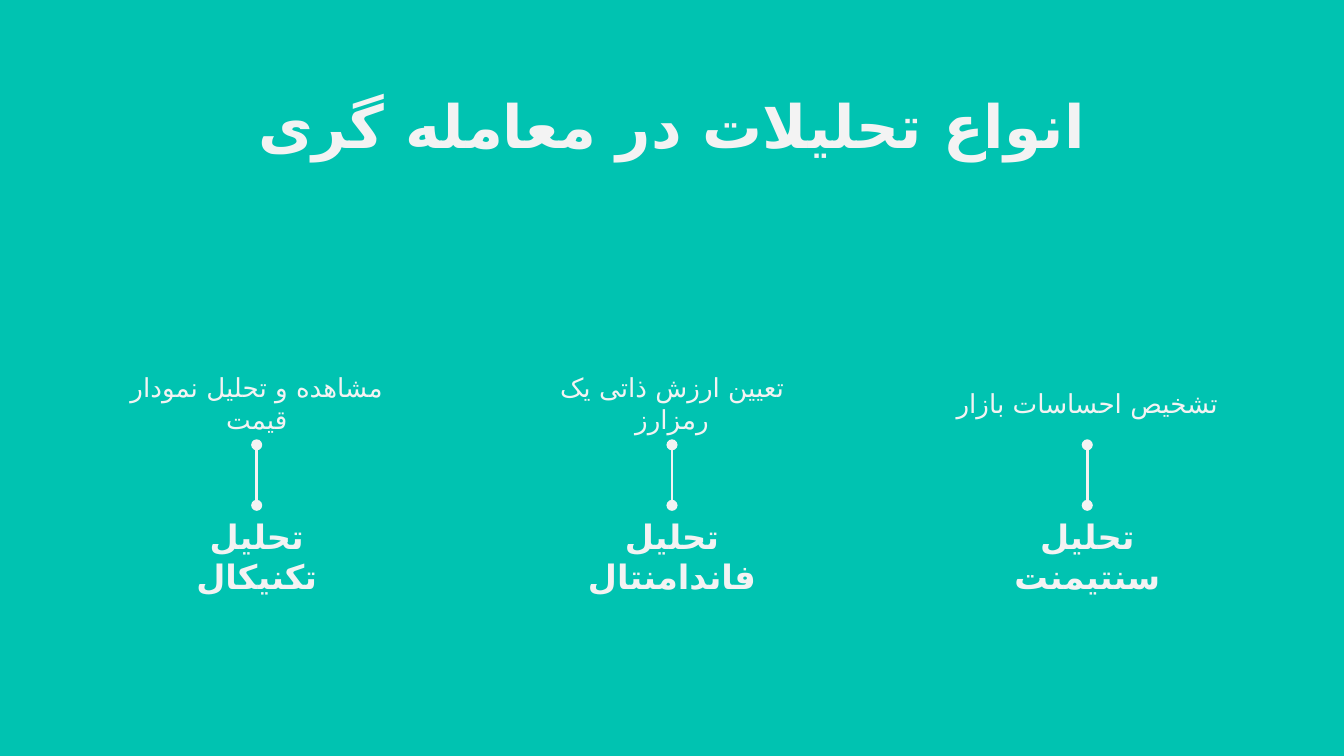
from lxml.etree import SubElement
from pptx import Presentation
from pptx.dml.color import RGBColor
from pptx.enum.shapes import MSO_CONNECTOR as Connector
from pptx.enum.text import MSO_ANCHOR as Anchor, PP_ALIGN as Align
from pptx.oxml.ns import qn
from pptx.util import Inches, Pt

TEAL = RGBColor(0x00, 0xC3, 0xB1)
OFF_WHITE = RGBColor(0xF3, 0xF3, 0xF3)

# Content: analysis name and its description, left to right
HEADING = "انواع تحلیلات در معامله گری"
ANALYSES = [
    ("تحلیل تکنیکال", "مشاهده و تحلیل نمودار قیمت"),
    ("تحلیل فاندامنتال", "تعیین ارزش ذاتی یک رمزارز"),
    ("تحلیل سنتیمنت", "تشخیص احساسات بازار"),
]

HEADING_FONT = {"name": "Roboto", "size": Pt(32), "bold": True}
NAME_FONT = {"name": "Roboto", "size": Pt(18), "bold": True}
DESCRIPTION_FONT = {"name": "Lato", "size": Pt(14), "bold": False}
PERSIAN_FONT = "DejaVu Sans"

# Column centres and the ends of the connecting lines, in inches
FIRST_CENTRE, PITCH = 1.91, 3.09
LINE_TOP, LINE_BOTTOM = 3.31, 3.76

# A 16:9 page
prs = Presentation()
prs.slide_width, prs.slide_height = Inches(10), Inches(10 * 9 / 16)
slide = prs.slides.add_slide(prs.slide_layouts[6])
slide.background.fill.solid()
slide.background.fill.fore_color.rgb = TEAL


def add_text(text, centre, top, width, height, font, margin=0.1,
             anchor=Anchor.MIDDLE):
    box = slide.shapes.add_textbox(Inches(centre - width / 2), Inches(top),
                                   Inches(width), Inches(height))
    frame = box.text_frame
    frame.word_wrap = True
    frame.vertical_anchor = anchor
    for side in ("left", "top", "right", "bottom"):
        setattr(frame, f"margin_{side}", Inches(margin))
    paragraph = frame.paragraphs[0]
    paragraph.alignment = Align.CENTER
    run = paragraph.add_run()
    run.text = text
    for key, value in font.items():
        setattr(run.font, key, value)
    run.font.color.rgb = OFF_WHITE
    # Persian letters take the complex-script font
    SubElement(run._r.get_or_add_rPr(), qn("a:cs"), typeface=PERSIAN_FONT)
    return paragraph


def add_dotted_end_line(x):
    line = slide.shapes.add_connector(Connector.STRAIGHT, Inches(x), Inches(LINE_TOP),
                                      Inches(x), Inches(LINE_BOTTOM))
    line.line.color.rgb = OFF_WHITE
    line.line.width = Pt(1.5)
    for end in ("a:headEnd", "a:tailEnd"):
        SubElement(line.line._get_or_add_ln(), qn(end), type="oval")
    SubElement(line._element.spPr, qn("a:effectLst"))


# Heading
add_text(HEADING, 5, 0.56, 8.43, 0.63, HEADING_FONT, anchor=Anchor.TOP)

# One column per analysis: description, line, name
for column, (name, description) in enumerate(ANALYSES):
    centre = FIRST_CENTRE + column * PITCH
    paragraph = add_text(description, centre, 2.47, 2.25, 1.06, DESCRIPTION_FONT)
    paragraph.space_after = Pt(16)
    paragraph._p.get_or_add_pPr().set("rtl", "1")
    add_text(name, centre, LINE_BOTTOM, 1.68, 0.75, NAME_FONT, margin=0)
    add_dotted_end_line(centre)

prs.save("out.pptx")
